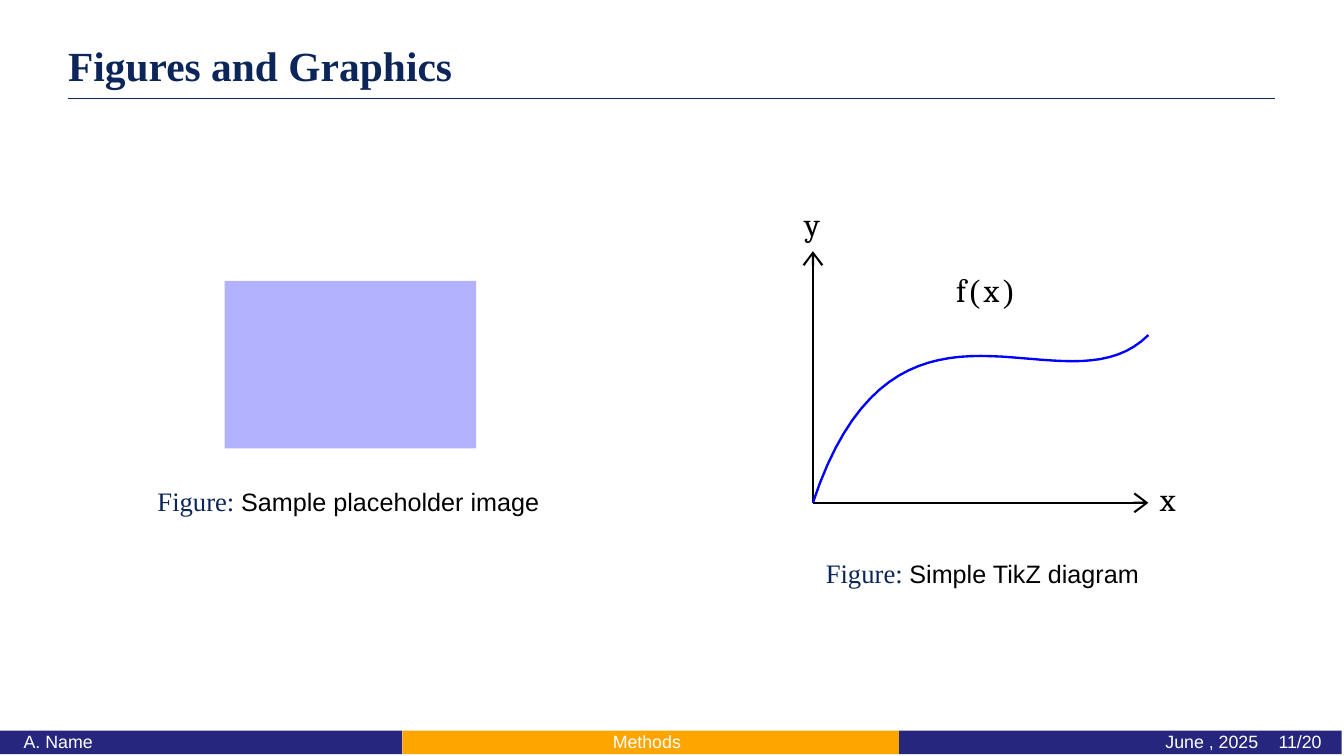
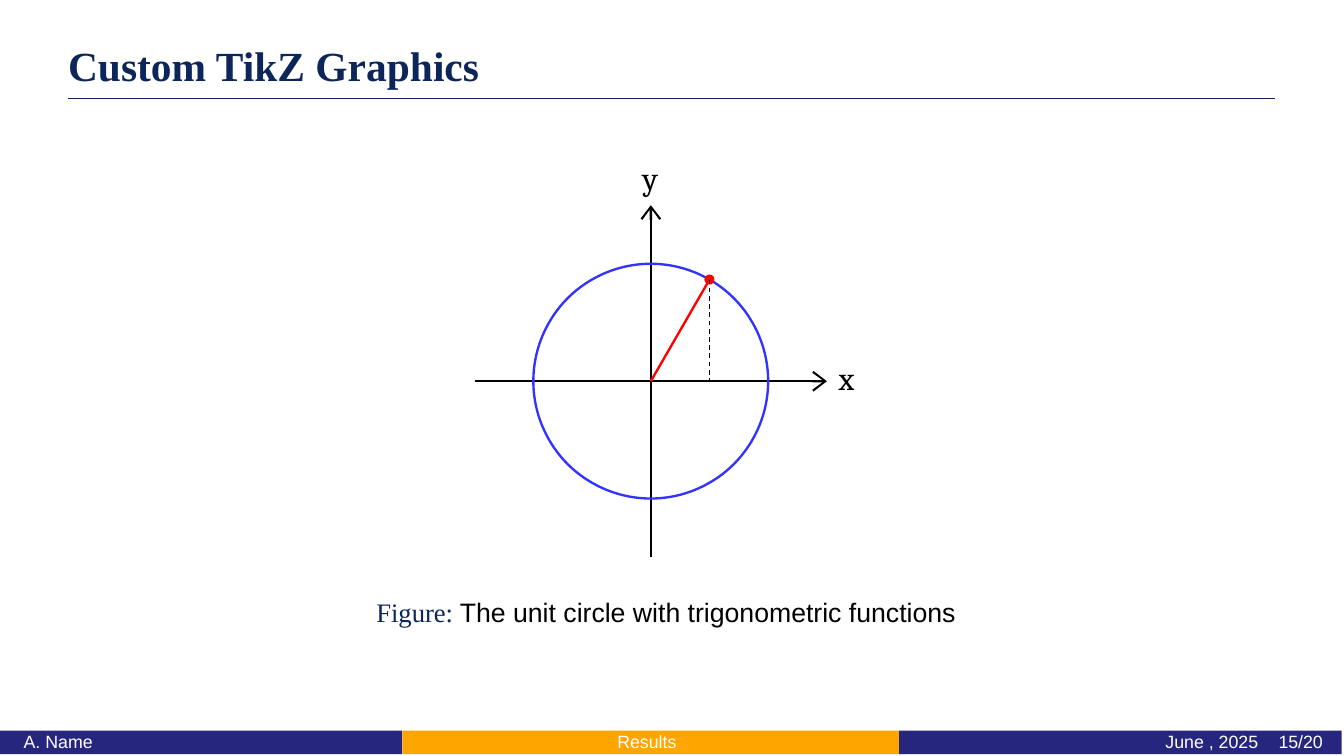
"""Build two slides of figures with a shared title rule and footer."""
from dataclasses import dataclass
from math import cos, radians, sin

from lxml.etree import SubElement
from pptx import Presentation
from pptx.dml.color import RGBColor
from pptx.enum.dml import MSO_LINE
from pptx.enum.shapes import MSO_CONNECTOR, MSO_SHAPE
from pptx.enum.text import PP_ALIGN
from pptx.oxml.ns import qn
from pptx.util import Pt


@dataclass(frozen=True)
class Theme:
    navy: str = "0C2659"
    band: str = "26267F"
    gold: str = "FFA500"
    pale: str = "B2B2FF"
    blue: str = "0000FF"
    ring: str = "3333FF"
    red: str = "FF0000"
    black: str = "000000"
    white: str = "FFFFFF"
    serif: str = "Times New Roman"
    sans: str = "Arial"
    math: str = "Cambria"
    head: float = 14
    axis: float = 11
    lead: float = 9
    note: float = 8.5
    foot: float = 6
    thin: float = 0.4
    pen: float = 0.8


T = Theme()
WIDE, HIGH = 454.32, 255.6
UNIT = 28.35
LEFT, RIGHT = 23, 431
BANDS = [(0, 136, T.band), (136, 304, T.gold), (304, 453.6, T.band)]
AUTHOR, DATE = "A. Name", "June , 2025"
CURVE = [(0, 0), (1, 3), (3, 1), (4, 2)]
STEPS = 36
ANGLE = radians(60)
SLIDES = [
    {"title": "Figures and Graphics", "part": "Methods", "page": "11/20",
     "notes": [("Sample placeholder image", 117.8, 163.9, T.note),
               ("Simple TikZ diagram", 332.1, 188.3, T.note)]},
    {"title": "Custom TikZ Graphics", "part": "Results", "page": "15/20",
     "notes": [("The unit circle with trigonometric functions",
                225.1, 201.6, T.lead)]},
]


def rgb(tone):
    return RGBColor.from_string(tone)


def style(font, face, size, tone, bold=False):
    font.name, font.size, font.bold = face, Pt(size), bold
    font.color.rgb = rgb(tone)


def text(slide, runs, x, y, wide, align=PP_ALIGN.LEFT, bold=False, gap=0):
    """Write one line of (words, face, size, tone) runs with its top at y."""
    box = slide.shapes.add_textbox(Pt(x), Pt(y), Pt(wide), Pt(runs[0][2] * 1.2))
    frame = box.text_frame
    frame.word_wrap = True
    frame.margin_left = frame.margin_right = 0
    frame.margin_top = frame.margin_bottom = 0
    para = frame.paragraphs[0]
    para.alignment = align
    same = len({run[1:] for run in runs}) == 1
    if same:
        style(para.font, *runs[0][1:], bold)
    for words, *look in runs:
        run = para.add_run()
        run.text = words
        if not same:
            style(run.font, *look, bold)
        if gap:
            run._r.get_or_add_rPr().set("spc", str(round(gap * 100)))


def shape(slide, kind, x, y, wide, high, fill=None, line=None):
    item = slide.shapes.add_shape(kind, Pt(x), Pt(y), Pt(wide), Pt(high))
    paint(item, fill, line)


def paint(item, fill=None, line=None):
    item.shadow.inherit = False
    if fill:
        item.fill.solid()
        item.fill.fore_color.rgb = rgb(fill)
    else:
        item.fill.background()
    if line:
        item.line.color.rgb = rgb(line)
        item.line.width = Pt(T.pen)
    else:
        item.line.fill.background()


def stroke(slide, start, end, tone, width=T.pen, arrow=False, dash=False):
    ends = [Pt(v) for v in (*start, *end)]
    item = slide.shapes.add_connector(MSO_CONNECTOR.STRAIGHT, *ends)
    item.line.color.rgb = rgb(tone)
    item.line.width = Pt(width)
    if dash:
        item.line.dash_style = MSO_LINE.DASH
    if arrow:
        SubElement(item.line._get_or_add_ln(), qn("a:tailEnd"),
                   type="arrow", w="med", len="sm")
    SubElement(item._element.spPr, qn("a:effectLst"))


def axes(slide, x, y, right, up, back=0):
    """Draw both axes through (x, y) and name their tips."""
    stroke(slide, (x - back, y), (x + right, y), T.black, arrow=True)
    stroke(slide, (x, y + back), (x, y - up), T.black, arrow=True)
    text(slide, [("x", T.math, T.axis, T.black)], x + right + 3.9, y - 7.9, 12)
    text(slide, [("y", T.math, T.axis, T.black)], x - 2.9, y - up - 16, 12)


def frame(slide, spec):
    text(slide, [(spec["title"], T.serif, T.head, T.navy)],
         LEFT, 13.7, 300, bold=True)
    stroke(slide, (LEFT, 33.3), (RIGHT, 33.3), T.navy, T.thin)
    for words, mid, top, size in spec["notes"]:
        runs = [("Figure: ", T.serif, T.lead, T.navy),
                (words, T.sans, size, T.black)]
        text(slide, runs, mid - 110, top, 220, PP_ALIGN.CENTER)
    for start, end, tone in BANDS:
        shape(slide, MSO_SHAPE.RECTANGLE, start, 247, end - start, 8, tone)
    cells = [(AUTHOR, 8, 60, PP_ALIGN.LEFT),
             (spec["part"], 168.7, 100, PP_ALIGN.CENTER),
             (DATE, 394, 36, PP_ALIGN.LEFT),
             (spec["page"], 432.2, 20, PP_ALIGN.LEFT)]
    for words, x, wide, align in cells:
        text(slide, [(words, T.sans, T.foot, T.white)], x, 247.2, wide, align)


def bend(t):
    """Give the point of the cubic curve at t."""
    parts = ((1 - t) ** 3, 3 * t * (1 - t) ** 2, 3 * t * t * (1 - t), t ** 3)
    return [sum(k * p[i] for k, p in zip(parts, CURVE)) for i in (0, 1)]


def plots(slide):
    shape(slide, MSO_SHAPE.RECTANGLE, 76, 95, 3 * UNIT, 2 * UNIT, T.pale)
    x, y = 274.8, 170
    axes(slide, x, y, 4 * UNIT, 3 * UNIT)
    dots = [bend(i / STEPS) for i in range(STEPS + 1)]
    dots = [(Pt(x + a * UNIT), Pt(y - b * UNIT)) for a, b in dots]
    path = slide.shapes.build_freeform(*dots[0])
    path.add_line_segments(dots[1:], close=False)
    paint(path.convert_to_shape(), line=T.blue)
    marks = [("f", T.math), ("(", T.serif), ("x", T.math), (")", T.serif)]
    text(slide, [(m, face, T.axis, T.black) for m, face in marks],
         323.2, 91.3, 30, gap=1.1)


def circle(slide):
    x, y, r, dot = 220, 128.9, 1.4 * UNIT, 1.7
    axes(slide, x, y, 1.5 * r, 1.5 * r, 1.5 * r)
    shape(slide, MSO_SHAPE.OVAL, x - r, y - r, 2 * r, 2 * r, line=T.ring)
    tip = x + r * cos(ANGLE), y - r * sin(ANGLE)
    shape(slide, MSO_SHAPE.OVAL, tip[0] - dot, tip[1] - dot,
          2 * dot, 2 * dot, T.red)
    stroke(slide, (x, y), tip, T.red)
    stroke(slide, tip, (tip[0], y), T.black, T.thin, dash=True)


def main():
    deck = Presentation()
    deck.slide_width, deck.slide_height = Pt(WIDE), Pt(HIGH)
    for spec, draw in zip(SLIDES, (plots, circle)):
        slide = deck.slides.add_slide(deck.slide_layouts[6])
        frame(slide, spec)
        draw(slide)
    deck.save("out.pptx")


if __name__ == "__main__":
    main()
